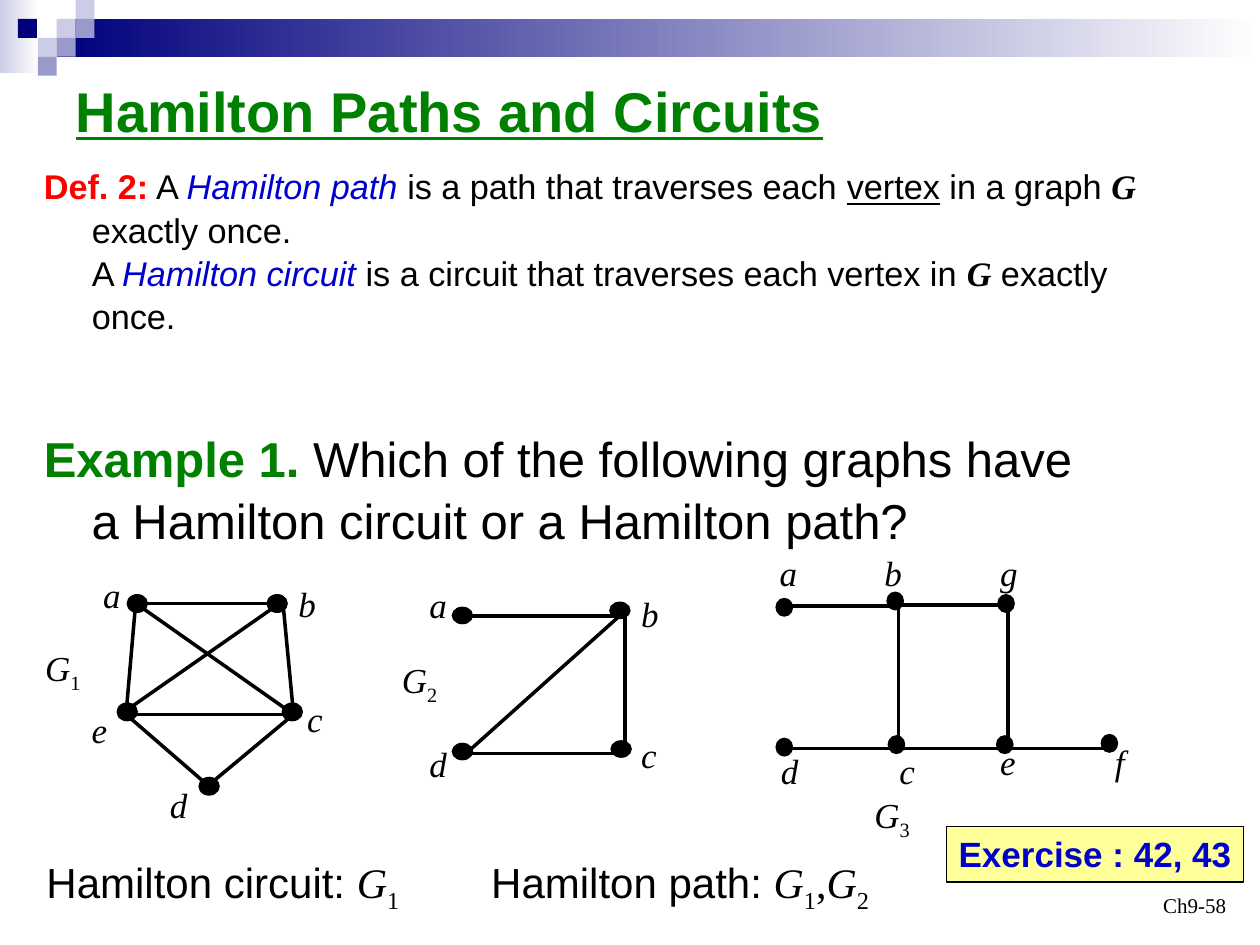
from lxml import etree
from pptx import Presentation
from pptx.dml.color import RGBColor
from pptx.enum.shapes import MSO_CONNECTOR, MSO_SHAPE
from pptx.enum.text import MSO_ANCHOR, PP_ALIGN
from pptx.oxml.ns import qn
from pptx.util import Inches, Pt

LINE = MSO_CONNECTOR.STRAIGHT
DOT, RECT = MSO_SHAPE.FLOWCHART_CONNECTOR, MSO_SHAPE.RECTANGLE
TOP, MIDDLE, BOTTOM = MSO_ANCHOR.TOP, MSO_ANCHOR.MIDDLE, MSO_ANCHOR.BOTTOM
LEFT, RIGHT = PP_ALIGN.LEFT, PP_ALIGN.RIGHT

COLORS = {"black": "000000", "white": "FFFFFF", "green": "008000", "red": "FF0000",
          "blue": "0000CC", "navy": "00007D", "lilac": "CCCCE6", "violet": "9999CC",
          "yellow": "FFFF99"}
SERIF = {"name": "Times New Roman"}
MATH = {**SERIF, "italic": True}
MATH_BOLD = {**MATH, "bold": True}
SUBSCRIPT = {**SERIF, "baseline": "-25000"}
TERM = {"color": "blue", "italic": True}
HANGING = Inches(0.38)

# Vertices: dot left and top, then label left and top; edges: start x, y, end x, y.
# All are in inches from the corner of the graph's box.
GRAPHS = [
    {"corner": (0.26, 4.5), "number": "1", "name_at": (0, 0.58), "dot": (0.16, 0.14),
     "vertices": {"a": (0.75, 0.22, 0.46, 0), "b": (1.86, 0.22, 2.01, 0.07),
                  "c": (1.98, 1.08, 2.08, 0.99), "d": (1.32, 1.67, 0.99, 1.67),
                  "e": (0.67, 1.08, 0.37, 1.07)},
     "edges": [(0.82, 0.29, 1.93, 0.29), (0.82, 0.29, 2.07, 1.17),
               (2.07, 1.17, 1.99, 0.33), (0.74, 1.17, 2, 1.17),
               (0.74, 1.17, 1.41, 1.75), (1.41, 1.72, 2.07, 1.17),
               (0.74, 1.14, 1.9, 0.33), (0.82, 0.25, 0.74, 1.17)]},
    {"corner": (3.09, 4.58), "number": "2", "name_at": (0, 0.6), "dot": (0.16, 0.13),
     "vertices": {"a": (0.5, 0.24, 0.22, 0), "b": (1.75, 0.2, 1.9, 0.07),
                  "c": (1.76, 1.3, 1.9, 1.19), "d": (0.5, 1.32, 0.22, 1.26)},
     "edges": [(0.58, 0.31, 1.82, 0.31), (0.62, 1.39, 1.87, 0.27),
               (0.58, 1.4, 1.82, 1.4), (1.87, 0.27, 1.87, 1.39)]},
    {"corner": (6.09, 4.33), "number": "3", "name_at": (0.75, 1.92), "dot": (0.13, 0.14),
     "vertices": {"a": (0.07, 0.42, 0, 0), "b": (0.95, 0.37, 0.83, 0),
                  "c": (0.96, 1.51, 0.95, 1.57), "d": (0.07, 1.53, 0.01, 1.57),
                  "e": (1.82, 1.51, 1.75, 1.5), "f": (2.65, 1.5, 2.66, 1.5),
                  "g": (1.83, 0.39, 1.75, 0)},
     "edges": [(0.13, 0.48, 1.04, 0.48), (0.99, 0.47, 1.91, 0.47),
               (0.13, 1.61, 2.73, 1.61), (1.04, 0.44, 1.04, 1.6),
               (1.91, 0.43, 1.91, 1.59)]},
]


def rgb(name):
    return RGBColor.from_string(COLORS[name])


def write(frame, runs, size, wrap=True, anchor=TOP, align=LEFT, hanging=False):
    """Fill one paragraph with (text, style) runs; a line break is "\\n"."""
    frame_format = {"word_wrap": wrap, "vertical_anchor": anchor,
                    "margin_left": Inches(0.1), "margin_right": Inches(0.1),
                    "margin_top": Inches(0.05), "margin_bottom": Inches(0.05)}
    for attribute, value in frame_format.items():
        setattr(frame, attribute, value)
    paragraph = frame.paragraphs[0]
    paragraph.alignment = align
    if hanging:
        paragraph.line_spacing = 1.05
        properties = paragraph._p.get_or_add_pPr()
        properties.set("marL", str(HANGING))
        properties.set("indent", str(-HANGING))
    for text, style in runs:
        if text == "\n":
            paragraph.add_line_break()
            continue
        run = paragraph.add_run()
        run.text = text
        look = {"name": "Arial", "size": Pt(size), "bold": False, "italic": False, **style}
        run.font.color.rgb = rgb(look.pop("color", "black"))
        baseline = look.pop("baseline", None)
        for attribute, value in look.items():
            setattr(run.font, attribute, value)
        if baseline:
            run._r.get_or_add_rPr().set("baseline", baseline)


def add_text(slide, box, runs, size, **layout):
    frame = slide.shapes.add_textbox(*map(Inches, box)).text_frame
    write(frame, runs, size, **layout)


def add_block(slide, kind, box, fill, outline=None):
    block = slide.shapes.add_shape(kind, *map(Inches, box))
    block.shadow.inherit = False
    if isinstance(fill, tuple):
        block.fill.gradient()
        block.fill.gradient_angle = 0
        for stop, color, position in zip(block.fill.gradient_stops, fill, (0, 1)):
            stop.color.rgb = rgb(color)
            stop.position = position
    else:
        block.fill.solid()
        block.fill.fore_color.rgb = rgb(fill)
    if outline:
        block.line.color.rgb = rgb(outline)
        block.line.width = Pt(0.75)
    else:
        block.line.fill.background()
    return block


def add_edge(slide, ends):
    edge = slide.shapes.add_connector(LINE, *map(Inches, ends))
    edge.line.color.rgb = rgb("black")
    edge.line.width = Pt(2)
    etree.SubElement(edge._element.spPr, qn("a:effectLst"))


def add_banner(slide, left, top):
    """Gradient bars with a checker of small squares."""
    add_block(slide, RECT, (left, top, 0.31, 0.58), ("lilac", "white"))
    add_block(slide, RECT, (left + 0.45, top + 0.15, 9.55, 0.3), ("navy", "white"))
    side = 0.15
    squares = [(3, 1, "lilac"), (4, 0, "lilac"), (4, 1, "violet"), (2, 2, "lilac"),
               (0.95, 1, "navy"), (3, 2, "violet"), (2, 3, "violet")]
    for column, row, color in squares:
        add_block(slide, RECT, (left + column * side, top + row * side, side, side), color)


def add_title(slide, box):
    title = slide.shapes.title
    for side, value in zip(("left", "top", "width", "height"), box):
        setattr(title, side, Inches(value))
    style = {"color": "green", "bold": True, "underline": True}
    write(title.text_frame, [("Hamilton Paths and Circuits", style)], 32, anchor=MIDDLE)


def add_graph(slide, corner, number, name_at, dot, vertices, edges):
    left, top = corner
    for x1, y1, x2, y2 in edges:
        add_edge(slide, (left + x1, top + y1, left + x2, top + y2))
    for letter, (dot_x, dot_y, label_x, label_y) in vertices.items():
        add_block(slide, DOT, (left + dot_x, top + dot_y, *dot), "black", "black")
        add_text(slide, (left + label_x, top + label_y, 0.34, 0.44),
                 [(letter, MATH)], 20, wrap=False)
    add_text(slide, (left + name_at[0], top + name_at[1], 0.48, 0.48),
             [("G", MATH), (number, SUBSCRIPT)], 20, wrap=False)


def add_exercise(slide, box):
    note = add_block(slide, RECT, box, "yellow", "black")
    write(note.text_frame, [("Exercise : 42, 43", {"color": "blue", "bold": True})],
          20, wrap=False)


def build():
    deck = Presentation()
    deck.slide_width, deck.slide_height = Inches(10), Inches(7.5)
    slide = deck.slides.add_slide(deck.slide_layouts[5])
    add_banner(slide, 0, 0)
    add_title(slide, (0.5, 0.5, 9, 0.75))

    definition = [("Def. 2:", {"color": "red", "bold": True}), (" A ", {}),
                  ("Hamilton path", TERM), (" is a path that traverses each ", {}),
                  ("vertex", {"underline": True}), (" in a graph ", {}),
                  ("G", MATH_BOLD), (" exactly once.", {}), ("\n", {}), ("A ", {}),
                  ("Hamilton circuit", TERM),
                  (" is a circuit that traverses each vertex in ", {}),
                  ("G", MATH_BOLD), (" exactly once.", {})]
    add_text(slide, (0.25, 1.25, 9.08, 2), definition, 19.6, hanging=True)
    example = [("Example 1. ", {"color": "green", "bold": True}),
               ("Which of the following graphs have", {}), ("\n", {}),
               ("a Hamilton circuit or a Hamilton path?", {})]
    add_text(slide, (0.25, 3.33, 9.57, 1.04), example, 28, hanging=True)

    for graph in GRAPHS:
        add_graph(slide, **graph)

    first = [("G", MATH), ("1", SUBSCRIPT)]
    second = [(",", SERIF), ("G", MATH), ("2", SUBSCRIPT)]
    add_text(slide, (0.27, 6.75, 3.09, 0.56),
             [("Hamilton circuit: ", {}), *first], 24, wrap=False)
    add_text(slide, (3.8, 6.75, 3.29, 0.56),
             [("Hamilton path: ", {}), *first, *second], 24, wrap=False)
    add_exercise(slide, (7.51, 6.56, 2.36, 0.44))
    add_text(slide, (7.5, 6.83, 2.33, 0.5), [("Ch9-58", SERIF)], 12,
             anchor=BOTTOM, align=RIGHT)
    deck.save("out.pptx")


if __name__ == "__main__":
    build()
